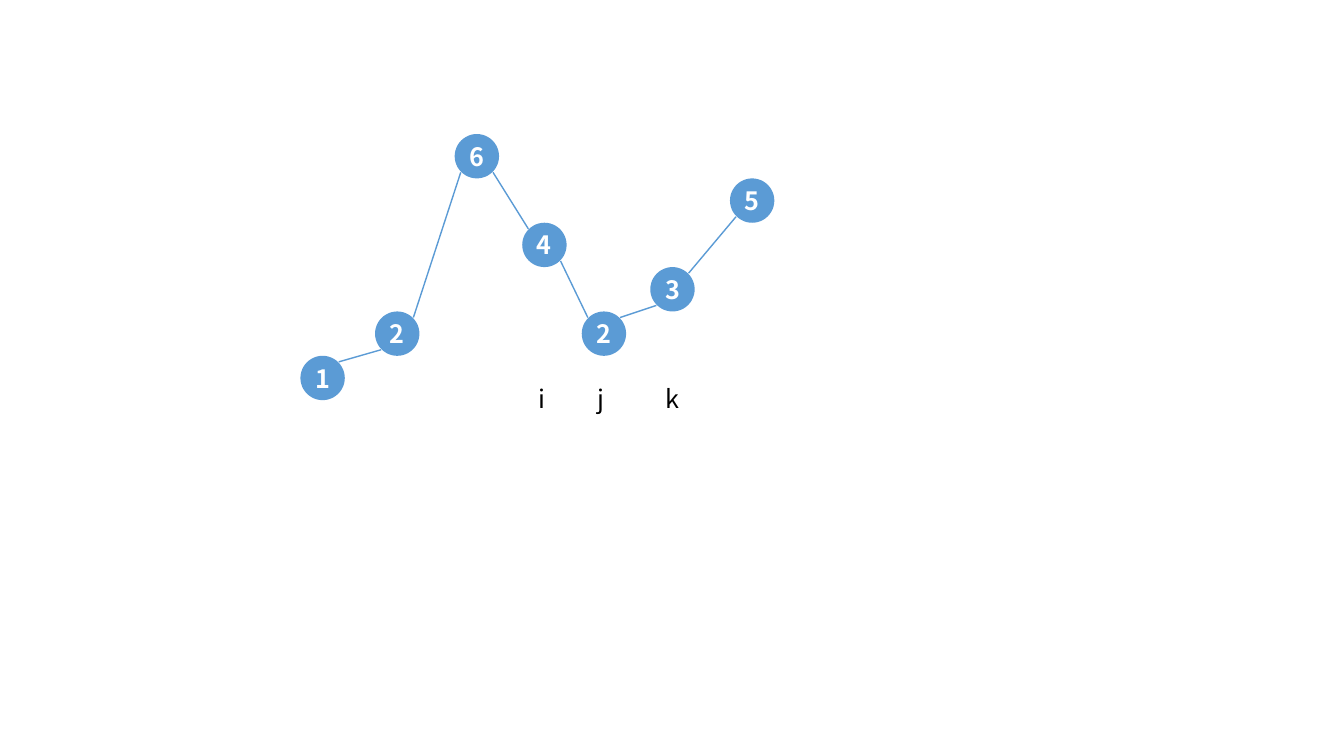
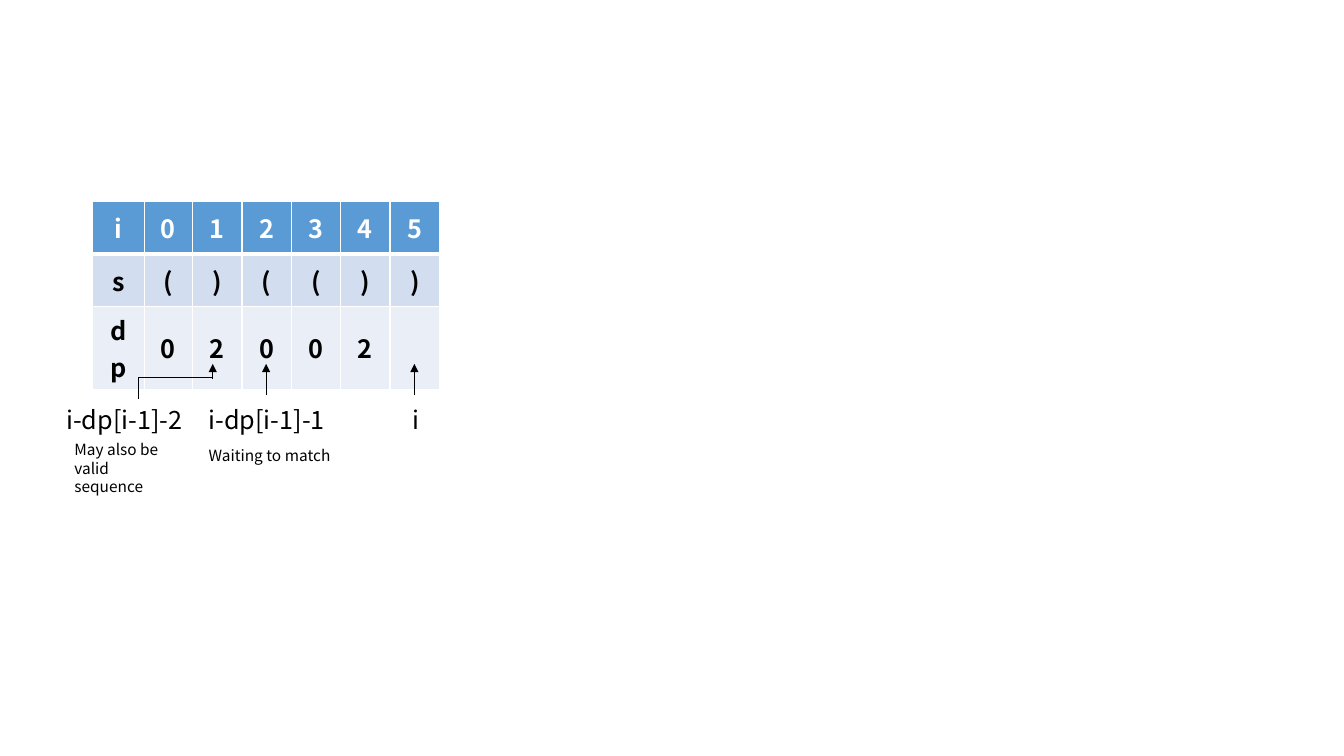
"""Build two slides: a line of numbered nodes and a matching-brackets table."""
from itertools import pairwise

from lxml import etree
from pptx import Presentation
from pptx.dml.color import RGBColor
from pptx.enum.shapes import MSO_CONNECTOR, MSO_SHAPE
from pptx.enum.text import MSO_ANCHOR, MSO_AUTO_SIZE, PP_ALIGN
from pptx.oxml.ns import qn
from pptx.util import Pt

PX = 9144
FONT = "Noto Sans CJK SC"
BLUE = RGBColor(0x5B, 0x9B, 0xD5)
BAND_DARK = RGBColor(0xD2, 0xDE, 0xEF)
BAND_LIGHT = RGBColor(0xEA, 0xEF, 0xF7)
WHITE = RGBColor(0xFF, 0xFF, 0xFF)
BLACK = RGBColor(0x00, 0x00, 0x00)
OVAL = MSO_SHAPE.OVAL
STRAIGHT, ELBOW = MSO_CONNECTOR.STRAIGHT, MSO_CONNECTOR.ELBOW
MIDDLE, CENTER = MSO_ANCHOR.MIDDLE, PP_ALIGN.CENTER
GROW = MSO_AUTO_SIZE.SHAPE_TO_FIT_TEXT

NODE = 44
NODE_BASE = 397
CORNER = 16
NODES = [(298, 1), (372, 2), (451, 6), (518, 4), (577, 2), (645, 3), (724, 5)]
POINTERS = [("i", 524), ("j", 583), ("k", 650)]

COLUMNS = [51, 48] + [49] * 5
ROW_HEIGHT = 52
ROWS = [
    (["i", "0", "1", "2", "3", "4", "5"], BLUE, WHITE),
    (["s", "(", ")", "(", "(", ")", ")"], BAND_DARK, BLACK),
    (["dp", "0", "2", "0", "0", "2", ""], BAND_LIGHT, BLACK),
]
LABELS = [
    ("i", 399, 396, 107, 40, 18),
    ("i-dp[i-1]-1", 197, 396, 162, 40, 18),
    ("Waiting to match", 197, 438, 162, 29, 11),
    ("i-dp[i-1]-2", 56, 396, 162, 40, 18),
    ("May also be valid sequence", 64, 432, 124, 47, 11),
]
ARROWS = [(411, 392), (264, 392), (211, 376)]
ARROW_TIP = 361


class Deck:
    """Hold the shared style and the current slide."""

    def __init__(self):
        self.deck = Presentation()
        self.deck.slide_width = 1333 * PX
        self.deck.slide_height = 750 * PX
        self.page = None

    def new_page(self):
        self.page = self.deck.slides.add_slide(self.deck.slide_layouts[6])

    def add_text(self, frame, text, color, size=18, bold=False, align=None):
        para = frame.paragraphs[0]
        para.alignment = align
        if text:
            span = para.add_run()
            span.text = text
            span.font.name = FONT
            span.font.size = Pt(size)
            span.font.bold = bold
            span.font.color.rgb = color

    def label(self, text, left, top, width=107, height=40, size=18):
        box = self.page.shapes.add_textbox(left * PX, top * PX, width * PX, height * PX)
        frame = box.text_frame
        frame.word_wrap = True
        frame.auto_size = GROW
        self.add_text(frame, text, BLACK, size)

    def node(self, text, left, top):
        circle = self.page.shapes.add_shape(OVAL, left * PX, top * PX, NODE * PX, NODE * PX)
        circle.shadow.inherit = False
        circle.fill.solid()
        circle.fill.fore_color.rgb = BLUE
        circle.line.fill.background()
        frame = circle.text_frame
        frame.margin_left = frame.margin_right = 0
        frame.margin_top = frame.margin_bottom = 0
        frame.vertical_anchor = MIDDLE
        self.add_text(frame, text, WHITE, bold=True, align=CENTER)

    def line(self, start, end, color=BLACK, weight=0.5, arrow=False, bent=False):
        ends = [length * PX for length in (*start, *end)]
        connector = self.page.shapes.add_connector(ELBOW if bent else STRAIGHT, *ends)
        connector.line.color.rgb = color
        connector.line.width = Pt(weight)
        properties = connector._element.spPr
        if bent:
            properties.find(qn("a:prstGeom")).set("prst", "bentConnector2")
        if arrow:
            etree.SubElement(properties.find(qn("a:ln")), qn("a:tailEnd"), type="triangle")
        etree.SubElement(properties, qn("a:effectLst"))

    def borders(self, cell, top, bottom):
        properties = cell._tc.get_or_add_tcPr()
        sides = [("L", 1), ("R", 1), ("T", top), ("B", bottom)]
        for position, (side, weight) in enumerate(sides):
            edge = etree.Element(qn(f"a:ln{side}"), w=str(Pt(weight)))
            fill = etree.SubElement(edge, qn("a:solidFill"))
            etree.SubElement(fill, qn("a:srgbClr"), val=str(WHITE))
            properties.insert(position, edge)

    def table(self, left, top):
        table = self.page.shapes.add_table(
            len(ROWS), len(COLUMNS), left * PX, top * PX,
            sum(COLUMNS) * PX, len(ROWS) * ROW_HEIGHT * PX).table
        for column, width in zip(table.columns, COLUMNS):
            column.width = width * PX
        for index, (texts, fill, color) in enumerate(ROWS):
            table.rows[index].height = ROW_HEIGHT * PX
            for cell, text in zip(table.rows[index].cells, texts):
                cell.fill.solid()
                cell.fill.fore_color.rgb = fill
                cell.vertical_anchor = MIDDLE
                self.add_text(cell.text_frame, text, color, bold=True, align=CENTER)
                self.borders(cell, 3 if index == 1 else 1, 3 if index == 0 else 1)


def build_nodes(deck):
    deck.new_page()
    for text, left in POINTERS:
        deck.label(text, left, 375)
    for left, value in NODES:
        deck.node(str(value), left, NODE_BASE - NODE * value)
    centers = [(left + NODE // 2, NODE_BASE - NODE * value + NODE // 2) for left, value in NODES]
    for (x1, y1), (x2, y2) in pairwise(centers):
        drop = CORNER if y2 > y1 else -CORNER
        deck.line((x1 + CORNER, y1 + drop), (x2 - CORNER, y2 - drop), BLUE, 1)


def build_brackets(deck):
    deck.new_page()
    deck.table(92, 200)
    for label in LABELS:
        deck.label(*label)
    for x, start in ARROWS:
        deck.line((x, start), (x, ARROW_TIP), arrow=True)
    deck.line((211, 374), (137, 396), bent=True)


def main():
    deck = Deck()
    build_nodes(deck)
    build_brackets(deck)
    deck.deck.save("out.pptx")


if __name__ == "__main__":
    main()
